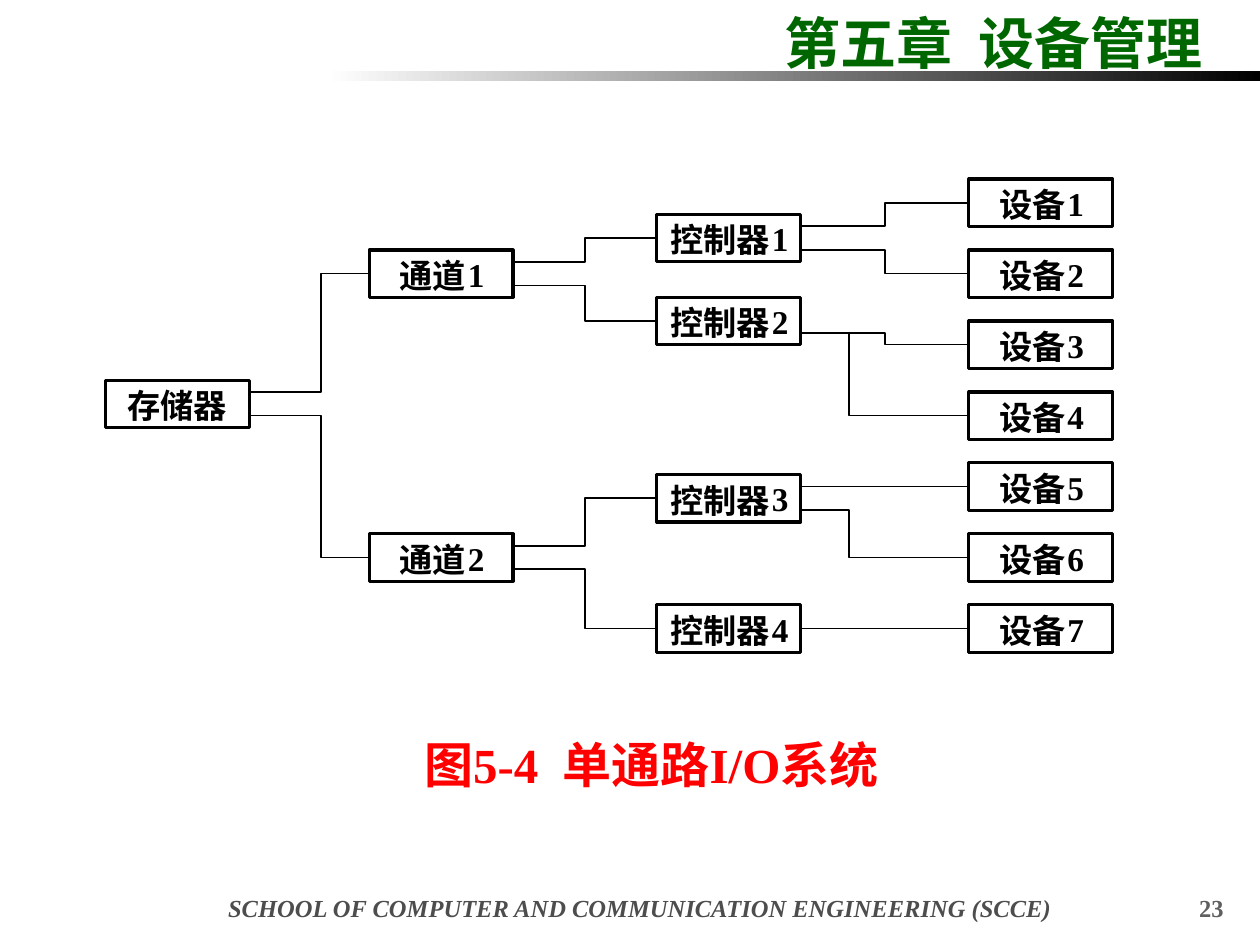
from pptx import Presentation
from pptx.dml.color import RGBColor
from pptx.enum.shapes import MSO_CONNECTOR, MSO_SHAPE
from pptx.enum.text import PP_ALIGN
from pptx.oxml.ns import qn
from pptx.util import Pt

RECT = MSO_SHAPE.RECTANGLE
LINE = MSO_CONNECTOR.STRAIGHT
LEFT, MID, RIGHT = PP_ALIGN.LEFT, PP_ALIGN.CENTER, PP_ALIGN.RIGHT
ROMAN, HAN = "Times New Roman", "Noto Sans CJK SC"
BLACK, WHITE = "000000", "FFFFFF"

WIDE, HIGH = 82.2, 27
TOP, STEP = 115.8, 6.76
SIZE = 19

COLS = [
    {"name": "存储器", "x": 60.4, "pad": 12.3, "rows": [17]},
    {"name": "通道", "x": 211, "pad": 17.3, "rows": [6, 30]},
    {"name": "控制器", "x": 375.4, "pad": 7.7, "rows": [3, 10, 25, 36]},
    {"name": "设备", "x": 553.7, "pad": 17.3, "rows": range(0, 37, 6)},
]
LINKS = [
    [(17, 6, 183.6), (17, 30, 183.6)],
    [(6, 3, 334.2), (6, 10, 334.2), (30, 25, 334.2), (30, 36, 334.2)],
    [(3, 0, 505.7), (3, 6, 505.7), (10, 12, 505.7), (10, 18, 485.3),
     (25, 24, 485.3), (25, 30, 485.3), (36, 36, 485.3)],
]


def tint(code):
    return RGBColor.from_string(code)


def put(item, form):
    for key, val in form.items():
        setattr(item, key, val)


def row_y(row):
    return TOP + STEP * row


def add_text(slide, text, box, size, color=BLACK, face=ROMAN, align=LEFT,
             pad=(7.2, 3.6), wrap=True, slant=False):
    frame = slide.shapes.add_textbox(*map(Pt, box)).text_frame
    side, edge = map(Pt, pad)
    put(frame, {"margin_left": side, "margin_right": side,
                "margin_top": edge, "margin_bottom": edge, "word_wrap": wrap})
    para = frame.paragraphs[0]
    para.alignment = align
    run = para.add_run()
    run.text = text
    put(run.font, {"size": Pt(size), "name": face, "bold": True, "italic": slant})
    run.font.color.rgb = tint(color)
    east = run.font._element.makeelement(qn("a:ea"), {"typeface": HAN})
    run.font._element.find(qn("a:latin")).addnext(east)


def ink(item, width):
    item.line.color.rgb = tint(BLACK)
    item.line.width = Pt(width)


def add_bar(slide):
    bar = slide.shapes.add_shape(RECT, Pt(186), Pt(40.4), Pt(534), Pt(5.8))
    bar.shadow.inherit = False
    bar.line.fill.background()
    bar.fill.gradient()
    bar.fill.gradient_angle = 0
    for stop, code in zip(bar.fill.gradient_stops, (WHITE, BLACK)):
        stop.color.rgb = tint(code)


def add_node(slide, name, mark, x, row, pad):
    y = row_y(row) - HIGH / 2
    box = slide.shapes.add_shape(RECT, Pt(x), Pt(y), Pt(WIDE), Pt(HIGH))
    box.shadow.inherit = False
    box.fill.solid()
    box.fill.fore_color.rgb = tint(WHITE)
    ink(box, 1.75)
    span = SIZE * len(name)
    form = {"size": SIZE, "pad": (0, 0), "wrap": False}
    add_text(slide, name, (x + pad, y + 2.9, span, 23), face=HAN, **form)
    if mark:
        add_text(slide, mark, (x + pad + span + 1, y + 2.2, 9.5, 23), **form)


def add_link(slide, left, right, start, end, bend):
    y, goal = row_y(start), row_y(end)
    if start == end:
        link = slide.shapes.add_connector(LINE, Pt(left), Pt(y), Pt(right), Pt(y))
        link._element.spPr.append(link._element.makeelement(qn("a:effectLst"), {}))
    else:
        path = slide.shapes.build_freeform(Pt(left), Pt(y))
        turns = [(bend, y), (bend, goal), (right, goal)]
        path.add_line_segments([(Pt(a), Pt(b)) for a, b in turns], close=False)
        link = path.convert_to_shape()
        link.shadow.inherit = False
        link.fill.background()
    ink(link, 1)


def add_tree(slide):
    for here, there, links in zip(COLS, COLS[1:], LINKS):
        for row, end, bend in links:
            start = row + (end > row) - (end < row)
            add_link(slide, here["x"] + WIDE, there["x"], start, end, bend)
    for col in COLS:
        many = len(col["rows"]) > 1
        for num, row in enumerate(col["rows"], 1):
            mark = str(num) if many else ""
            add_node(slide, col["name"], mark, col["x"], row, col["pad"])


def main():
    deck = Presentation()
    put(deck, {"slide_width": Pt(720), "slide_height": Pt(540)})
    slide = deck.slides.add_slide(deck.slide_layouts[6])
    add_text(slide, "第五章  设备管理", (441.4, 1.4, 275.8, 46), 32, "006600")
    add_bar(slide)
    add_text(slide, "SCHOOL OF COMPUTER AND COMMUNICATION ENGINEERING (SCCE)",
             (87.8, 506.9, 555.8, 24.5), 14, "4D4D4D", align=MID, slant=True)
    add_text(slide, "23", (659.5, 506.9, 46.8, 20.2), 14, "5F5F5F", align=RIGHT)
    add_text(slide, "图5-4  单通路I/O系统", (235.4, 416.2, 311.8, 41), 28, "FF0000")
    add_tree(slide)
    deck.save("out.pptx")


if __name__ == "__main__":
    main()
